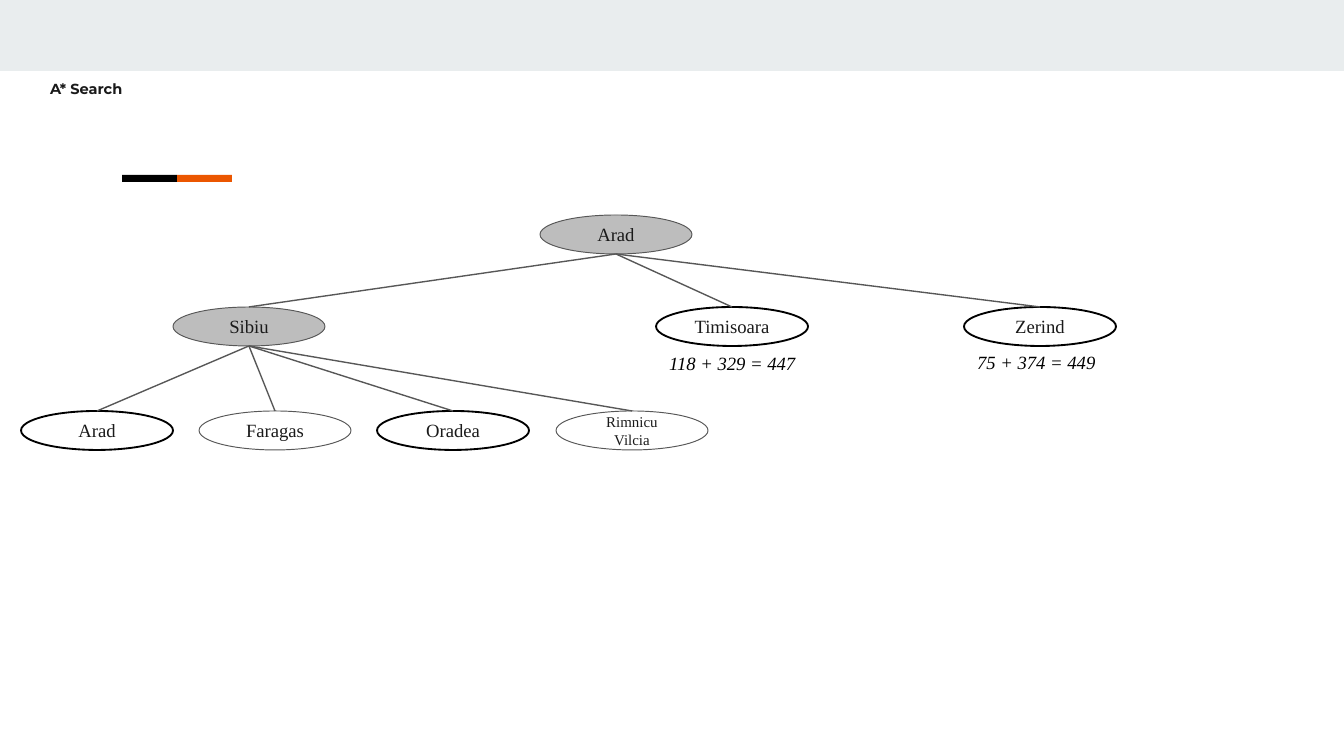
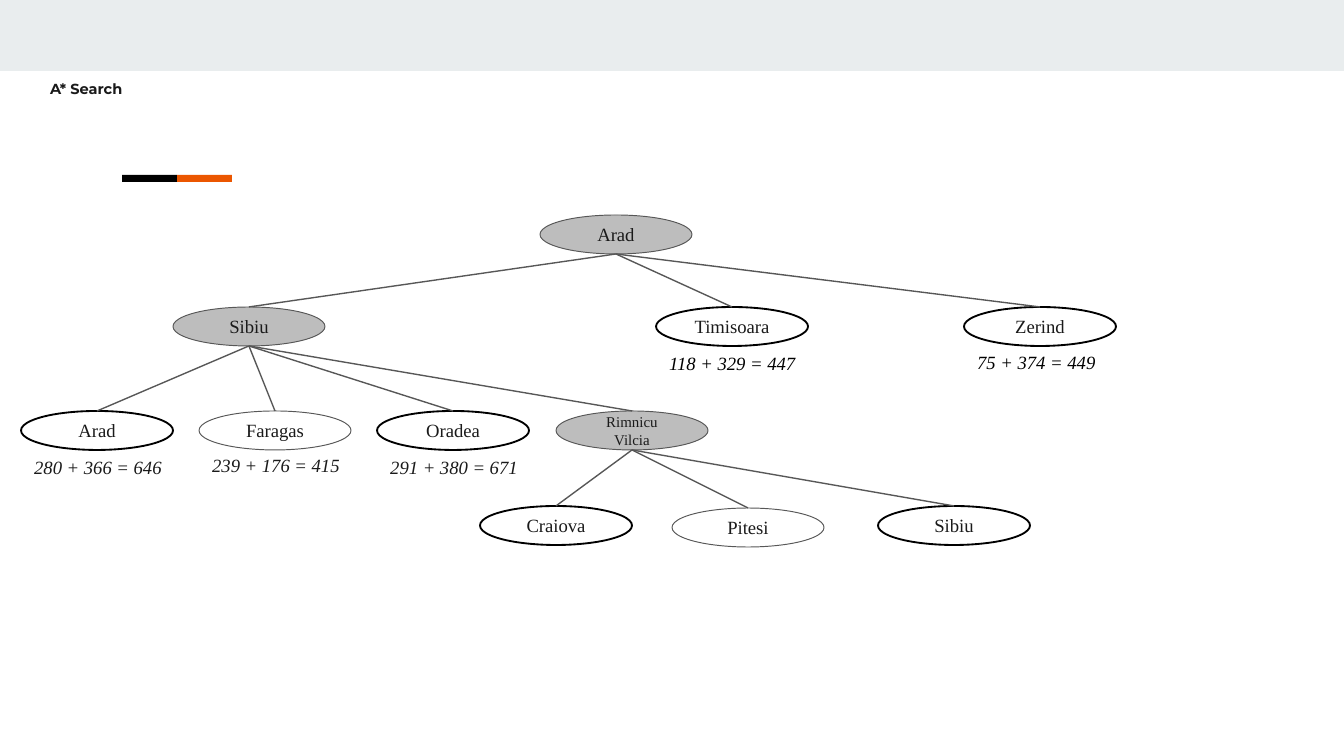
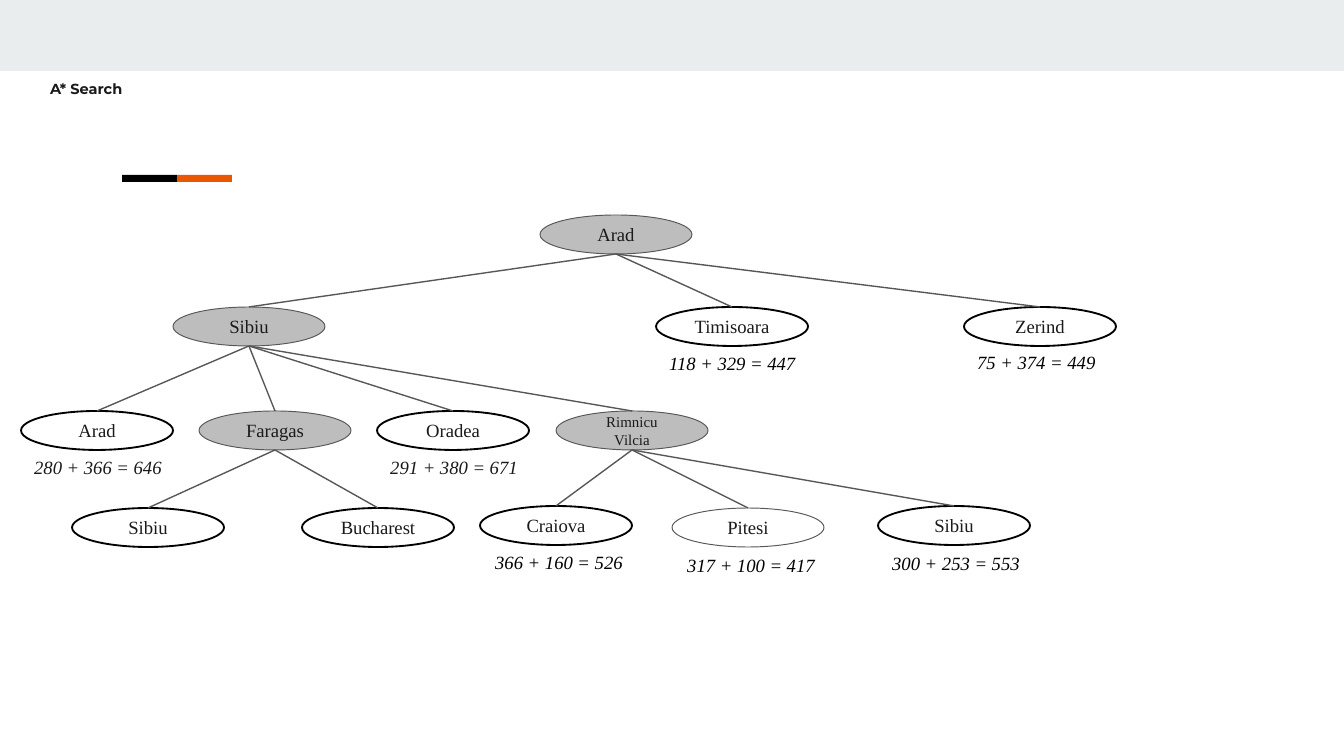
"""Build three slides that show A* search expanding a tree of cities."""
import collections

import lxml.etree
import pptx
import pptx.dml.color
import pptx.enum.shapes
import pptx.enum.text
import pptx.oxml.ns
import pptx.util

SCALE = 914400 / 134.4
WIDTH, HEIGHT = 1344, 756
NODE_W, NODE_H = 152, 39
SERIF, SANS = "Times New Roman", "Montserrat"
BAND, ORANGE, BLACK = "E9EDEE", "EB5600", "000000"
INK, GREY, FILL = "1A1A1A", "575757", "BDBDBD"

SHAPE = pptx.enum.shapes.MSO_SHAPE
ALIGN = pptx.enum.text.PP_ALIGN

City = collections.namedtuple("City", "name left top bold size")
Cost = collections.namedtuple("Cost", "text dx dy width tone")

CITIES = {
    "root": City("Arad", 540, 215, False, 10),
    "sibiu": City("Sibiu", 173, 307, False, 10),
    "timis": City("Timisoara", 656, 307, True, 10),
    "zerind": City("Zerind", 964, 307, True, 10),
    "arad": City("Arad", 21, 411, True, 10),
    "faragas": City("Faragas", 199, 411, False, 10),
    "oradea": City("Oradea", 377, 411, True, 10),
    "rimnicu": City("Rimnicu\nVilcia", 556, 411, False, 8),
    "craiova": City("Craiova", 480, 506, True, 10),
    "pitesi": City("Pitesi", 672, 508, False, 10),
    "back": City("Sibiu", 878, 506, True, 10),
    "home": City("Sibiu", 72, 508, True, 10),
    "goal": City("Bucharest", 302, 508, True, 10),
}
TREE = {
    "root": ["sibiu", "timis", "zerind"],
    "sibiu": ["arad", "faragas", "oradea", "rimnicu"],
    "rimnicu": ["craiova", "pitesi", "back"],
    "faragas": ["home", "goal"],
}
COSTS = {
    "timis": Cost("118 + 329 = 447", 0, 38, 192, BLACK),
    "zerind": Cost("75 + 374 = 449", 0, 37, 175, BLACK),
    "arad": Cost("280 + 366 = 646", 0, 38, 185, INK),
    "faragas": Cost("239 + 176 = 415", 0, 36, 185, INK),
    "oradea": Cost("291 + 380 = 671", 0, 38, 188, INK),
    "craiova": Cost("366 + 160 = 526", 2, 38, 192, BLACK),
    "pitesi": Cost("317 + 100 = 417", 2, 39, 192, BLACK),
    "back": Cost("300 + 253 = 553", 1, 39, 192, BLACK),
}
ORDER = list(TREE)


def px(*sizes):
    """Turn pixels into a list of EMU lengths."""
    return [pptx.util.Emu(round(size * SCALE)) for size in sizes]


def tint(code):
    """Turn a hex string into a colour."""
    return pptx.dml.color.RGBColor.from_string(code)


def write(shape, text, size, color=INK, face=SERIF, align=ALIGN.LEFT,
          bold=False, italic=False):
    """Fill a shape with text, one paragraph to a line."""
    frame = shape.text_frame
    frame.word_wrap = True
    frame.text = text
    for para in frame.paragraphs:
        para.alignment = align
        font = para.font
        font.name, font.size = face, pptx.util.Pt(size)
        font.bold, font.italic = bold, italic
        font.color.rgb = tint(color)
    return frame


def add_bar(slide, box, color):
    """Draw a plain filled rectangle."""
    bar = slide.shapes.add_shape(SHAPE.RECTANGLE, *px(*box))
    bar.shadow.inherit = False
    bar.fill.solid()
    bar.fill.fore_color.rgb = tint(color)
    bar.line.fill.background()


def add_frame(slide):
    """Draw the band, the two-colour accent and the title."""
    add_bar(slide, (0, 0, WIDTH, 71), BAND)
    add_bar(slide, (177, 175, 55, 7), ORANGE)
    add_bar(slide, (122, 175, 55, 7), BLACK)
    box = slide.shapes.add_textbox(*px(37, 71, 241, 79))
    frame = write(box, "A* Search", 7.8, face=SANS, bold=True)
    frame.margin_top = frame.margin_bottom = pptx.util.Inches(0.1)


def add_city(slide, city, done):
    """Draw a city as an ellipse, grey once it is expanded."""
    oval = slide.shapes.add_shape(
        SHAPE.OVAL, *px(city.left, city.top, NODE_W, NODE_H))
    oval.shadow.inherit = False
    if done:
        oval.fill.solid()
        oval.fill.fore_color.rgb = tint(FILL)
    else:
        oval.fill.background()
    oval.line.color.rgb = tint(BLACK if city.bold else GREY)
    oval.line.width = pptx.util.Pt(1 if city.bold else 0.5)
    frame = write(oval, city.name, city.size, align=ALIGN.CENTER)
    frame.vertical_anchor = pptx.enum.text.MSO_ANCHOR.MIDDLE


def add_edge(slide, start, end):
    """Join the foot of one city to the top of another."""
    half = NODE_W / 2
    line = slide.shapes.add_connector(
        pptx.enum.shapes.MSO_CONNECTOR.STRAIGHT,
        *px(start.left + half, start.top + NODE_H, end.left + half, end.top))
    line.line.color.rgb = tint(GREY)
    line.line.width = pptx.util.Pt(0.75)
    lxml.etree.SubElement(line.element.spPr, pptx.oxml.ns.qn("a:effectLst"))


def add_cost(slide, city, cost):
    """Write the path cost below a city."""
    box = slide.shapes.add_textbox(
        *px(city.left + cost.dx, city.top + cost.dy, cost.width, 36))
    frame = write(box, cost.text, 10, cost.tone, italic=True)
    frame.auto_size = pptx.enum.text.MSO_AUTO_SIZE.SHAPE_TO_FIT_TEXT


def add_tree(slide, done):
    """Draw the tree; costs show for open cities found before the last step."""
    add_city(slide, CITIES["root"], True)
    for name in done:
        kids = TREE[name]
        for kid in kids:
            add_city(slide, CITIES[kid], kid in done)
        for kid in kids:
            add_edge(slide, CITIES[name], CITIES[kid])
        if name == done[-1]:
            continue
        for kid in kids:
            if kid not in done:
                add_cost(slide, CITIES[kid], COSTS[kid])


def main():
    """Build one slide for each search step and save the file."""
    deck = pptx.Presentation()
    deck.slide_width, deck.slide_height = px(WIDTH, HEIGHT)
    for count in (2, 3, 4):
        slide = deck.slides.add_slide(deck.slide_layouts[6])
        add_frame(slide)
        add_tree(slide, ORDER[:count])
    deck.save("out.pptx")


main()
